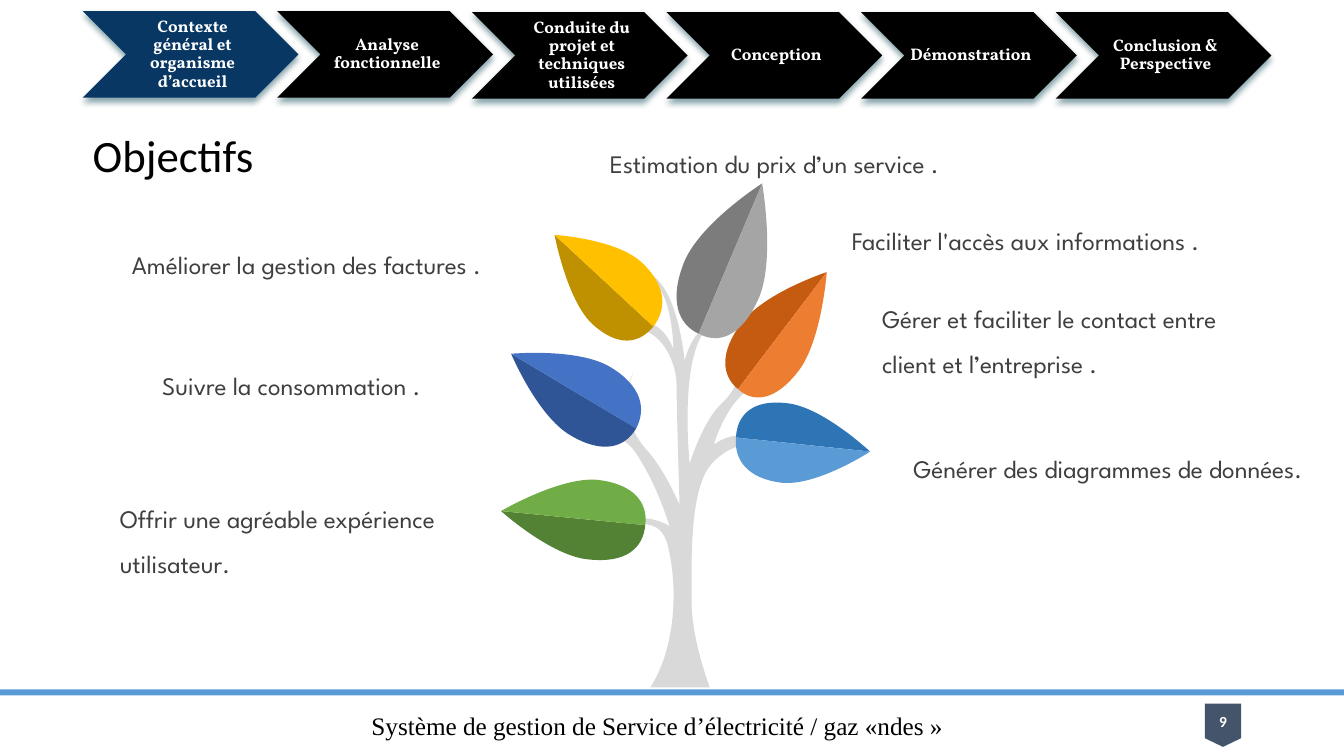
from lxml import etree
from pptx import Presentation
from pptx.dml.color import RGBColor
from pptx.enum.shapes import MSO_SHAPE as Shape
from pptx.enum.text import MSO_ANCHOR as Anchor, PP_ALIGN as Align
from pptx.oxml.ns import qn
from pptx.util import Inches, Pt

INK = "3F3F3F"

STEPS = ["Contexte général et organisme d’accueil", "Analyse fonctionnelle",
         "Conduite du projet et techniques utilisées", "Conception",
         "Démonstration", "Conclusion & Perspective"]

# Text, left, top, width, height inside the body box
GOALS = [
    ("Offrir une agréable expérience utilisateur.", 0.94, 3.79, 4.13, 1.01),
    ("Améliorer la gestion des factures .", 1.06, 1.27, 4.49, 0.5),
    ("Suivre la consommation .", 1.36, 2.47, 5.12, 0.56),
    ("Estimation du prix d’un service .", 5.8, 0.27, 4.18, 0.56),
    ("Faciliter l'accès aux informations .", 8.2, 1.04, 4.67, 0.5),
    ("Gérer et faciliter le contact entre client et l’entreprise .",
     8.5, 1.81, 4.21, 1.01),
    ("Générer des diagrammes de données.", 8.81, 3.3, 4.21, 0.95),
]

# Trunk: start, end of the foot line, then three points per curve
TRUNK = [(2.45, 5.82), (3.04, 5.82)]
BOUGHS = [
    (3.04, 5.82), (2.86, 5.35), (2.86, 4.98),
    (2.86, 4.61), (2.83, 3.85), (3.06, 3.6),
    (3.29, 3.35), (3.61, 3.34), (3.75, 3.6),
    (3.75, 3.6), (3.48, 3.13), (3.08, 3.41),
    (3.08, 3.41), (3.31, 2.6), (3.82, 2.84),
    (3.82, 2.84), (3.59, 2.69), (3.36, 2.81),
    (3.36, 2.81), (3.49, 2.58), (3.37, 2.15),
    (3.37, 2.15), (3.5, 2.69), (3.15, 3.01),
    (2.97, 3.18), (2.84, 3.6), (2.84, 3.6),
    (2.84, 3.6), (2.7, 2.25), (3.15, 2.18),
    (3.15, 2.18), (2.9, 2.17), (2.79, 2.58),
    (2.79, 2.58), (2.71, 1.63), (2.3, 1.7),
    (2.3, 1.7), (2.65, 1.65), (2.68, 2.47),
    (2.68, 2.47), (2.58, 2.15), (2.31, 2.2),
    (2.04, 2.25), (1.96, 1.91), (1.96, 1.91),
    (1.96, 1.91), (2.03, 2.23), (2.31, 2.26),
    (2.59, 2.29), (2.71, 2.63), (2.71, 2.81),
    (2.71, 3.0), (2.74, 4.01), (2.74, 4.01),
    (2.74, 4.01), (2.59, 3.65), (2.41, 3.46),
    (2.23, 3.26), (2.16, 2.97), (2.28, 2.7),
    (2.28, 2.7), (2.13, 2.93), (2.24, 3.34),
    (2.24, 3.34), (2.0, 3.19), (1.77, 3.38),
    (1.77, 3.38), (2.1, 3.18), (2.31, 3.5),
    (2.53, 3.83), (2.64, 4.22), (2.64, 4.22),
    (2.64, 4.22), (2.27, 3.97), (1.98, 4.37),
    (1.98, 4.37), (2.5, 3.97), (2.62, 4.4),
    (2.73, 4.83), (2.7, 5.43), (2.45, 5.82),
]

# Tip, base, then colour and edge points of each half
LEAVES = [
    ((4.2, 1.7), (3.32, 2.86),
     ("C55A11", (3.16, 2.73), (3.13, 2.5), (3.36, 2.2), (3.59, 1.9)),
     ("ED7D31", (3.47, 3.0), (3.69, 2.98), (3.92, 2.68), (4.15, 2.38))),
    ((3.56, 0.82), (2.93, 2.31),
     ("7C7C7C", (2.73, 2.22), (2.63, 1.98), (2.79, 1.59), (2.96, 1.2)),
     ("A5A5A5", (3.13, 2.42), (3.36, 2.34), (3.53, 1.95), (3.69, 1.56))),
    ((1.07, 2.51), (2.31, 3.25),
     ("2F5597", (2.2, 3.44), (1.98, 3.51), (1.66, 3.32), (1.33, 3.13)),
     ("4472C4", (2.41, 3.06), (2.37, 2.83), (2.05, 2.64), (1.73, 2.45))),
    ((1.5, 1.33), (2.48, 2.24),
     ("BF9000", (2.34, 2.41), (2.13, 2.45), (1.87, 2.21), (1.62, 1.97)),
     ("FFC000", (2.61, 2.07), (2.62, 1.84), (2.36, 1.6), (2.11, 1.37))),
    ((4.63, 3.48), (3.3, 3.34),
     ("2E75B6", (3.31, 3.12), (3.46, 2.96), (3.8, 3.0), (4.15, 3.03)),
     ("5B9BD5", (3.28, 3.56), (3.41, 3.75), (3.76, 3.79), (4.11, 3.82))),
    ((0.97, 4.07), (2.4, 4.21),
     ("548235", (2.38, 4.43), (2.22, 4.59), (1.84, 4.55), (1.47, 4.52)),
     ("70AD47", (2.43, 3.99), (2.29, 3.8), (1.92, 3.76), (1.55, 3.73))),
]


def color(code):
    return RGBColor.from_string(code)


def paint(shape, fill):
    shape.shadow.inherit = False
    shape.fill.solid()
    shape.fill.fore_color.rgb = color(fill)
    shape.line.fill.background()
    return shape


def block(slide, kind, x, y, w, h, fill):
    box = map(Inches, (x, y, w, h))
    return paint(slide.shapes.add_shape(kind, *box), fill)


def write(shape, text, size=18, font="League Spartan", ink=INK, bold=False,
          align=Align.LEFT, anchor=Anchor.MIDDLE, line=1.0, indent=0,
          inset=(0.1, 0.05, 0.1, 0.05)):
    frame = shape.text_frame
    frame.word_wrap = True
    frame.vertical_anchor = anchor
    (frame.margin_left, frame.margin_top,
     frame.margin_right, frame.margin_bottom) = map(Inches, inset)
    para = frame.paragraphs[0]
    para.alignment = align
    para.line_spacing = line
    para._p.get_or_add_pPr().set("marL", str(Inches(indent)))
    run = para.add_run()
    run.text = text
    run.font.size = Pt(size)
    run.font.name = font
    run.font.bold = bold
    run.font.color.rgb = color(ink)


def label(slide, text, x, y, w, h, **form):
    write(slide.shapes.add_textbox(*map(Inches, (x, y, w, h))), text, **form)


def shade(shape, tint):
    # Soft shadow straight below
    glow = shape._element.spPr.find(qn("a:effectLst"))
    drop = etree.SubElement(glow, qn("a:outerShdw"), blurRad=str(Pt(4.5)),
                            dist=str(Pt(3)), dir="5400000", rotWithShape="0")
    hue = etree.SubElement(drop, qn("a:srgbClr"), val=tint)
    etree.SubElement(hue, qn("a:alpha"), val="48000")


def curve(slide, x, y, start, end, bends, fill):
    # A straight edge, then a Bézier curve for every three points
    spots = [(Inches(x + a), Inches(y + b)) for a, b in [start, end, *bends]]
    pen = slide.shapes.build_freeform(*spots[0])
    pen.add_line_segments(spots[1:], close=True)
    shape = paint(pen.convert_to_shape(), fill)
    lines = list(shape._element.iter(qn("a:lnTo")))[1:]
    for i in range(0, len(bends), 3):
        first, *rest = lines[i:i + 3]
        first.tag = qn("a:cubicBezTo")
        for part in rest:
            first.append(part[0])
            part.getparent().remove(part)


def steps(slide, x, y):
    for i, text in enumerate(STEPS):
        left, top = x + 1.93 * i, y + (0.01 if i > 1 else 0)
        arrow = block(slide, Shape.CHEVRON, left, top, 2.14, 0.86,
                      "000000" if i else "083763")
        shade(arrow, "003F4E")
        label(slide, text, left + 0.43, top, 1.29, 0.86, size=12,
              font="Vollkorn", ink="FFFFFF", bold=True, align=Align.CENTER,
              line=0.9, inset=(0.05, 0.02, 0.02, 0.02))


def tree(slide, x, y):
    curve(slide, x, y, *TRUNK, BOUGHS, "D9D9D9")
    for tip, base, *halves in LEAVES:
        for fill, *edge in halves:
            curve(slide, x, y, tip, base, [*edge, tip, tip], fill)


def goals(slide, x, y):
    for text, left, top, w, h in GOALS:
        label(slide, text, x + left, y + top, w, h, anchor=Anchor.TOP,
              line=1.5, indent=0.15)


def footer(slide, x, y, w):
    block(slide, Shape.RECTANGLE, x, y, w, 0.06, "5B9BD5")
    badge = block(slide, Shape.FLOWCHART_OFFPAGE_CONNECTOR,
                  x + 11.95, y + 0.14, 0.36, 0.43, "44546A")
    write(badge, "9", size=11, font="Calibri", ink="FFFFFF", bold=True,
          align=Align.CENTER)
    label(slide, "Système de gestion de Service d’électricité / gaz «ndes »",
          x + 3.27, y + 0.16, 6.5, 0.4, font="Times New Roman",
          ink="000000", align=Align.CENTER)


def main():
    deck = Presentation()
    deck.slide_width, deck.slide_height = Inches(13.33), Inches(7.5)
    slide = deck.slides.add_slide(deck.slide_layouts[6])
    footer(slide, 0, 6.84, 13.33)
    label(slide, "Objectifs", 0.82, 1.24, 2.11, 0.65, size=32,
          font="Calibri", ink="000000", line=0.9)
    tree(slide, 4, 1)
    goals(slide, 0, 1)
    steps(slide, 0.82, 0.11)
    deck.save("out.pptx")


if __name__ == "__main__":
    main()
